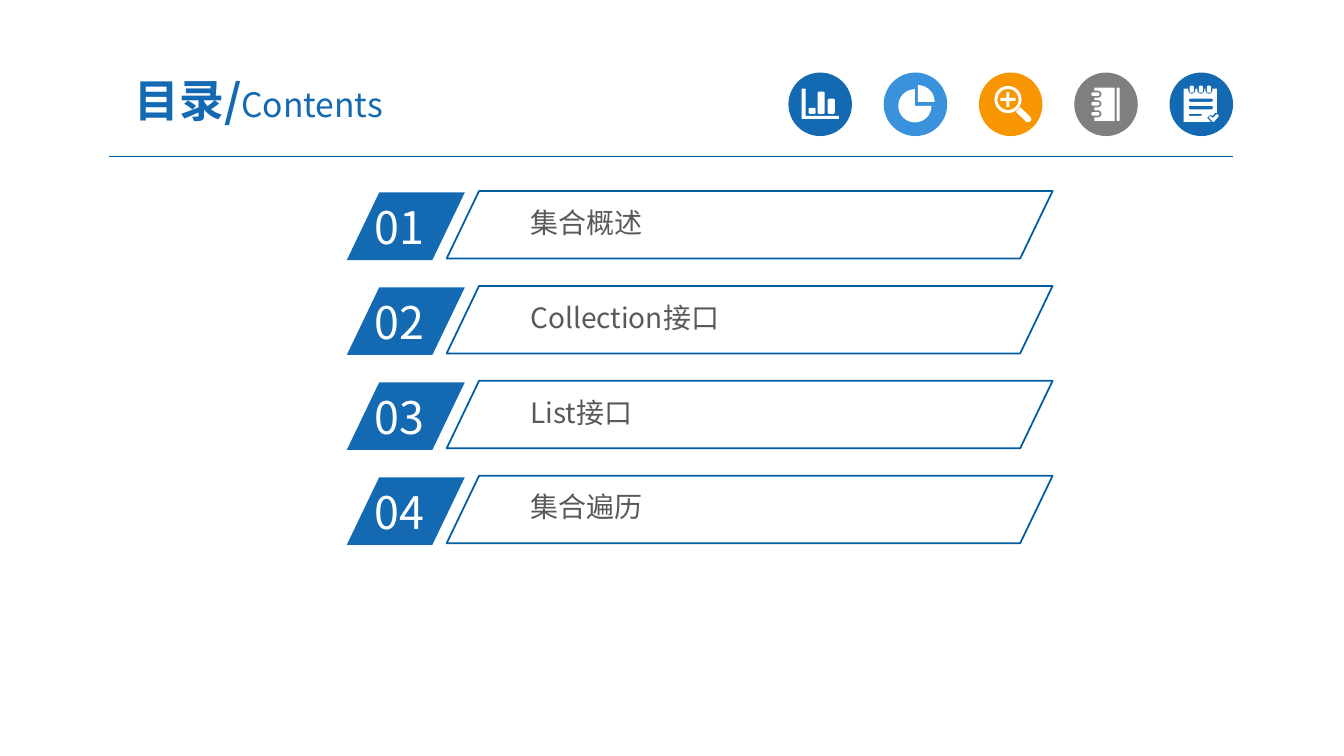
from dataclasses import dataclass
from math import cos, radians, sin

from lxml.etree import SubElement
from pptx import Presentation
from pptx.dml.color import RGBColor
from pptx.enum.shapes import MSO_CONNECTOR as Connector, MSO_SHAPE as Shape
from pptx.enum.text import MSO_ANCHOR as Anchor, MSO_AUTO_SIZE as AutoSize, PP_ALIGN as Align
from pptx.oxml.ns import qn
from pptx.util import Emu, Inches, Pt

CELL = Inches(0.1)
SLANT = 0.48


@dataclass(frozen=True)
class Theme:
    """Colours, font and type sizes of the slide."""
    font: str = "Noto Sans CJK SC"
    blue: str = "1369B2"
    sky: str = "3992DB"
    orange: str = "F79600"
    gray: str = "7F7F7F"
    white: str = "FFFFFF"
    body: str = "595959"
    rule: str = "005B9E"
    frame: str = "005DA2"
    large: int = 32
    medium: int = 24
    small: int = 20


@dataclass(frozen=True)
class Box:
    """A rectangle measured in grid cells."""
    left: float
    top: float
    width: float
    height: float

    def inner(self, left, top, width, height):
        """Return a box placed relative to this one."""
        return Box(self.left + left, self.top + top, width, height)

    def emu(self):
        """Return the four lengths for python-pptx."""
        return [Emu(round(v * CELL)) for v in (self.left, self.top, self.width, self.height)]


THEME = Theme()


def rgb(color):
    """Turn a hex string into a colour."""
    return RGBColor.from_string(color)


def add_run(p, text, size, color, bold=False):
    """Append a formatted run to a paragraph."""
    r = p.add_run()
    r.text = text
    r.font.size, r.font.bold, r.font.name = Pt(size), bold, THEME.font
    r.font.color.rgb = rgb(color)
    SubElement(r.font._element, qn("a:ea")).set("typeface", THEME.font)


def add_text(slide, box, *runs, align=Align.LEFT, anchor=Anchor.TOP, inset=(0.1, 0.05), grow=True):
    """Add a text box whose runs are (text, size, colour, bold) tuples."""
    tf = slide.shapes.add_textbox(*box.emu()).text_frame
    tf.word_wrap = True
    tf.auto_size = AutoSize.SHAPE_TO_FIT_TEXT if grow else AutoSize.NONE
    tf.vertical_anchor = anchor
    tf.margin_left = tf.margin_right = Inches(inset[0])
    tf.margin_top = tf.margin_bottom = Inches(inset[1])
    p = tf.paragraphs[0]
    p.alignment = align
    for run in runs:
        add_run(p, *run)


def paint(sp, fill=None, line=None):
    """Set fill and outline of a shape and drop its shadow."""
    sp.shadow.inherit = False
    if fill:
        sp.fill.solid()
        sp.fill.fore_color.rgb = rgb(fill)
    else:
        sp.fill.background()
    if line:
        sp.line.color.rgb, sp.line.width = rgb(line), Pt(1.25)
    else:
        sp.line.fill.background()


def arc(x, y, radius, start, end, steps=24):
    """Return points along a clockwise arc given in degrees."""
    angles = [radians(start + (end - start) * i / steps) for i in range(steps + 1)]
    return [(x + radius * cos(a), y + radius * sin(a)) for a in angles]


def bar(x, y, width, height, radius=1.5):
    """Return the outline of a rounded bar."""
    right, bottom = x + width - radius, y + height - radius
    corners = [(right, bottom), (x + radius, bottom), (x + radius, y + radius), (right, y + radius)]
    return [pt for i, c in enumerate(corners) for pt in arc(*c, radius, 90 * i, 90 * i + 90, 6)]


def chart_icon():
    """Outlines of a bar chart."""
    axes = [(13, 16), (17, 16), (17, 43), (50, 43), (50, 46), (13, 46)]
    return [axes, bar(20, 35, 7, 6), bar(29, 19, 7, 22), bar(39, 26, 7, 15)]


def pie_icon():
    """Outlines of a pie with one slice pulled out."""
    return [[(31, 33)] + arc(31, 33, 16.5, 0, 270), [(34, 29)] + arc(34, 29, 16.5, 270, 360)]


def magnifier_icon():
    """Outlines of a magnifier with a plus sign."""
    x, y, near, far = 28.75, 26.75, 1.5, 7.5
    quarter = [(near, -far), (near, -near), (far, -near)]
    plus = []
    for _ in range(4):
        plus += [(x + dx, y + dy) for dx, dy in quarter]
        quarter = [(-dy, dx) for dx, dy in quarter]
    handle = [(36.5, 39), (41, 34.5), (51, 44), (52, 47), (50, 49), (47, 49)]
    return [arc(x, y, 13.5, 0, 360), arc(x, y, 10.5, 0, 360), plus, handle]


def notebook_icon():
    """Outlines of a ring-bound notebook."""
    rings = [21.5, 31, 41]
    notches = [pt for y in reversed(rings) for pt in arc(23.5, y, 3.5, 90, -90, 12)]
    edge = [pt for y in reversed(rings) for pt in ((20, y + 3.5), (20, y - 3.5))]
    outline = [(20, 15), (40, 15), (40, 48), (20, 48)]
    for i in range(3):
        outline += [edge[2 * i], *notches[13 * i:13 * i + 13], edge[2 * i + 1]]
    return [outline, bar(42, 15, 3, 33, 1)] + [bar(17, y - 1.75, 8, 3.5) for y in rings]


def notepad_icon():
    """Outlines of a notepad with a check mark."""
    rings = [22, 31, 39]
    outline = [(14, 16)]
    for x in rings:
        outline += [(x - 3.5, 16), *arc(x, 17.5, 3.5, 180, 0, 12), (x + 3.5, 16)]
    outline += [(47, 16), (47, 40), (45, 40), (43, 43), (40, 42), (37, 45), (41, 49), (14, 49)]
    check = [(39, 45), (40, 43), (43, 45), (47, 41), (49, 43), (44, 49), (43, 49)]
    lines = [bar(19, 26, 24, 3), bar(19, 33, 24, 3.5), bar(19, 41, 13, 2, 1)]
    return [outline, check] + lines + [bar(x - 2, 13, 4, 7) for x in rings]


def add_icon(slide, box, color, outlines):
    """Draw a white symbol on a coloured disc."""
    paint(slide.shapes.add_shape(Shape.OVAL, *box.emu()), color)
    left, top = box.emu()[:2]
    contours = [[(round(left + x * CELL / 10), round(top + y * CELL / 10)) for x, y in outline]
                for outline in outlines]
    builder = slide.shapes.build_freeform(*contours[0][0])
    for i, contour in enumerate(contours):
        if i:
            builder.move_to(*contour[0])
        builder.add_line_segments(contour[1:], close=True)
    paint(builder.convert_to_shape(), THEME.white)


def add_header(slide, box):
    """Place the title, the icon row and the rule below them."""
    line = slide.shapes.add_connector(
        Connector.STRAIGHT, *[Emu(round(v * CELL)) for v in
                              (box.left, box.top + box.height, box.left + box.width, box.top + box.height)])
    line.line.color.rgb, line.line.width = rgb(THEME.rule), Pt(0.75)
    SubElement(line._element.spPr, qn("a:effectLst"))
    icons = [(THEME.blue, chart_icon), (THEME.sky, pie_icon), (THEME.orange, magnifier_icon),
             (THEME.gray, notebook_icon), (THEME.blue, notepad_icon)]
    size, pitch = 6.3, 9.45
    first = box.width - size - pitch * (len(icons) - 1)
    for i, (color, icon) in enumerate(icons):
        add_icon(slide, box.inner(first + i * pitch, 0.9, size, size), color, icon())
    add_text(slide, box.inner(-1.6, 0, 32.9, 7.2),
             ("目录/", THEME.large, THEME.blue, True), ("Contents", THEME.medium, THEME.blue),
             align=Align.CENTER, anchor=Anchor.MIDDLE, inset=(0.13, 0.07), grow=False)


def add_entry(slide, box, number, label):
    """Place one numbered entry of the contents list."""
    badge = slide.shapes.add_shape(Shape.PARALLELOGRAM, *box.inner(0, 0.15, 11.7, box.height).emu())
    frame = slide.shapes.add_shape(Shape.PARALLELOGRAM, *box.inner(9.9, 0, box.width - 9.9, box.height).emu())
    badge.adjustments[0] = frame.adjustments[0] = SLANT
    paint(badge, fill=THEME.blue)
    paint(frame, line=THEME.frame)
    add_text(slide, box.inner(1.8, 0.4, 11.2, 6.4), (f"{number:02}", THEME.large, THEME.white))
    add_text(slide, box.inner(17.5, 1, 50.1, 4.1), (label, THEME.small, THEME.body), inset=(0.07, 0.04))


def add_contents(slide, box, labels):
    """Stack the entries evenly in the given box."""
    height = 6.7
    pitch = (box.height - height) / (len(labels) - 1)
    for i, label in enumerate(labels):
        add_entry(slide, box.inner(0, i * pitch, box.width, height), i + 1, label)


def main():
    """Build and save the slide."""
    prs = Presentation()
    prs.slide_width, prs.slide_height = Inches(13.33), Inches(7.5)
    slide = prs.slides.add_slide(prs.slide_layouts[6])
    add_header(slide, Box(10.8, 6.3, 111.5, 9.2))
    add_contents(slide, Box(34.4, 18.95, 70, 34.95), ["集合概述", "Collection接口", "List接口", "集合遍历"])
    prs.save("out.pptx")


if __name__ == "__main__":
    main()
